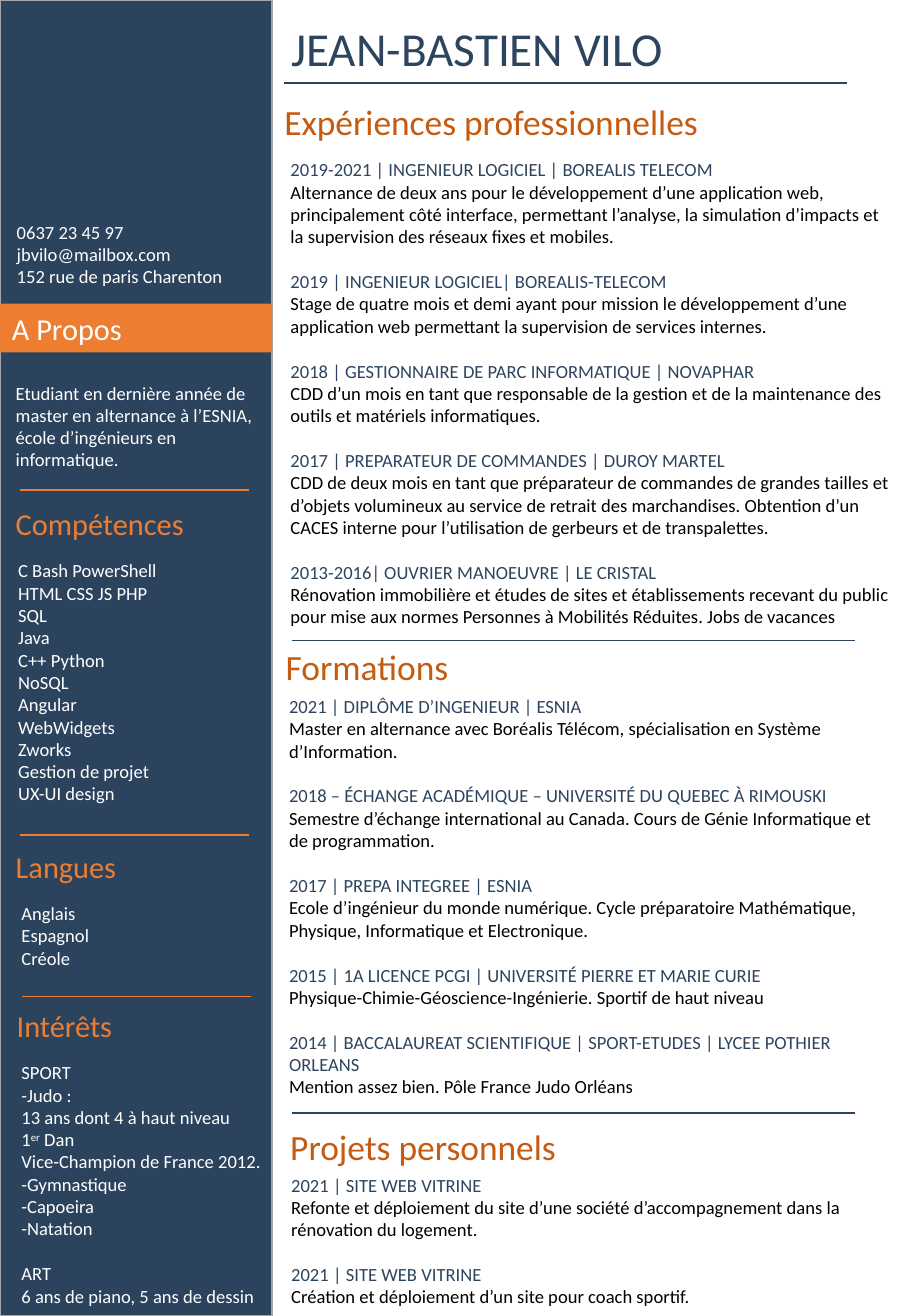
from dataclasses import dataclass

from lxml.etree import SubElement
from pptx import Presentation
from pptx.dml.color import RGBColor
from pptx.enum.shapes import MSO_CONNECTOR, MSO_SHAPE
from pptx.enum.text import MSO_ANCHOR, MSO_AUTO_SIZE, PP_ALIGN
from pptx.oxml.ns import qn
from pptx.util import Cm, Pt


@dataclass(frozen=True)
class Theme:
    font: str = "Calibri"
    navy: str = "2D445E"
    panel: str = "2C435D"
    orange: str = "ED7D31"
    rust: str = "C55A11"
    grey: str = "A6A6A6"
    white: str = "FFFFFF"
    black: str = "000000"
    name_size: float = 28
    section_size: float = 21
    label_size: float = 18
    text_size: float = 11
    entry_gap: float = 13.4


T = Theme()

EXPERIENCES = [
    ("2019-2021 | INGENIEUR LOGICIEL | BOREALIS TELECOM",
     "Alternance de deux ans pour le développement d’une application web, principalement côté "
     "interface, permettant l’analyse, la simulation d’impacts et la supervision des réseaux "
     "fixes et mobiles."),
    ("2019 | INGENIEUR LOGICIEL| BOREALIS-TELECOM",
     "Stage de quatre mois et demi ayant pour mission le développement d’une application web "
     "permettant la supervision de services internes."),
    ("2018 | GESTIONNAIRE DE PARC INFORMATIQUE | NOVAPHAR",
     "CDD d’un mois en tant que responsable de la gestion et de la maintenance des outils et "
     "matériels informatiques."),
    ("2017 | PREPARATEUR DE COMMANDES | DUROY MARTEL",
     "CDD de deux mois en tant que préparateur de commandes de grandes tailles et d’objets "
     "volumineux au service de retrait des marchandises. Obtention d’un CACES interne pour "
     "l’utilisation de gerbeurs et de transpalettes."),
    ("2013-2016| OUVRIER MANOEUVRE | LE CRISTAL",
     "Rénovation immobilière et études de sites et établissements recevant du public pour mise "
     "aux normes Personnes à Mobilités Réduites. Jobs de vacances"),
]
FORMATIONS = [
    ("2021 | DIPLÔME D’INGENIEUR | ESNIA",
     "Master en alternance avec Boréalis Télécom, spécialisation en Système d’Information."),
    ("2018 – ÉCHANGE ACADÉMIQUE – UNIVERSITÉ DU QUEBEC À RIMOUSKI",
     "Semestre d’échange international au Canada. Cours de Génie Informatique et de "
     "programmation."),
    ("2017 | PREPA INTEGREE | ESNIA",
     "Ecole d’ingénieur du monde numérique. Cycle préparatoire Mathématique,",
     "Physique, Informatique et Electronique."),
    ("2015 | 1A LICENCE PCGI | UNIVERSITÉ PIERRE ET MARIE CURIE",
     "Physique-Chimie-Géoscience-Ingénierie. Sportif de haut niveau"),
    ("2014 | BACCALAUREAT SCIENTIFIQUE | SPORT-ETUDES | LYCEE POTHIER ORLEANS",
     "Mention assez bien. Pôle France Judo Orléans"),
]
PROJETS = [
    ("2021 | SITE WEB VITRINE",
     "Refonte et déploiement du site d’une société d’accompagnement dans la rénovation du "
     "logement."),
    ("2021 | SITE WEB VITRINE",
     "Création et déploiement d’un site pour coach sportif."),
]
CONTACT = ["0637 23 45 97", "jbvilo@mailbox.com", "152 rue de paris Charenton"]
A_PROPOS = ["Etudiant en dernière année de master en alternance à l’ESNIA, école d’ingénieurs "
            "en informatique."]
COMPETENCES = ["C Bash PowerShell", "HTML CSS JS PHP", "SQL", "Java", "C++ Python", "NoSQL",
               "Angular", "WebWidgets", "Zworks", "Gestion de projet", "UX-UI design"]
LANGUES = ["Anglais", "Espagnol", "Créole"]
# Text between carets is set as superscript
INTERETS = ["SPORT", "-Judo :", "13 ans dont 4 à haut niveau", "1^er^ Dan",
            "Vice-Champion de France 2012.", "-Gymnastique", "-Capoeira", "-Natation",
            "ART", "6 ans de piano, 5 ans de dessin"]


def rgb(color):
    return RGBColor.from_string(color)


def write(sp, lines, size, color):
    """Fill a shape with plain left-aligned paragraphs."""
    tf = sp.text_frame
    tf.word_wrap = True
    tf.auto_size = MSO_AUTO_SIZE.NONE
    tf.vertical_anchor = MSO_ANCHOR.TOP
    for i, line in enumerate(lines):
        p = tf.add_paragraph() if i else tf.paragraphs[0]
        p.alignment = PP_ALIGN.LEFT
        p.space_before = Pt(0)
        pPr = p._p.get_or_add_pPr()
        pPr.set("marL", "0")
        pPr.set("indent", "0")
        SubElement(pPr, qn("a:buNone"))
        for k, part in enumerate(line.split("^")):
            r = p.add_run()
            r.text = part
            r.font.name, r.font.size, r.font.bold = T.font, Pt(size), False
            r.font.color.rgb = rgb(color)
            if k % 2:
                r._r.get_or_add_rPr().set("baseline", "30000")
    return tf


def text(s, box, lines, size, color, sp=None):
    """Place text in a given placeholder, or in a new text box."""
    box = [Cm(v) for v in box]
    if sp is None:
        sp = s.shapes.add_textbox(*box)
    else:
        sp.left, sp.top, sp.width, sp.height = box
    return write(sp, lines, size, color)


def panel(s, box, fill, line=None):
    sp = s.shapes.add_shape(MSO_SHAPE.RECTANGLE, *[Cm(v) for v in box])
    sp.shadow.inherit = False
    sp.fill.solid()
    sp.fill.fore_color.rgb = rgb(fill)
    if line:
        sp.line.color.rgb = rgb(line)
        sp.line.width = Pt(1)
    else:
        sp.line.fill.background()
    return sp


def rule(s, x, y, width, color):
    cn = s.shapes.add_connector(MSO_CONNECTOR.STRAIGHT, Cm(x), Cm(y), Cm(x + width), Cm(y))
    cn.line.color.rgb = rgb(color)
    cn.line.width = Pt(1)
    SubElement(cn._element.spPr, qn("a:effectLst"))


def sidebar_section(s, box, label, lines, indent):
    x, y, w, h = box
    text(s, (x, y, w, 1.02), [label], T.label_size, T.orange)
    return text(s, (x + indent, y + 1.13, w + 0.5, h - 1.13), lines, T.text_size, T.white)


def sidebar(s, box):
    x, y, w, h = box
    panel(s, box, T.panel, T.grey)
    # Contact and profile
    text(s, (x + 0.1, y + 4.49, w - 0.1, 1.66), CONTACT, T.text_size, T.white)
    write(panel(s, (x, y + 6.35, w, 1.02), T.orange), ["A Propos"], T.label_size, T.white)
    text(s, (x + 0.08, y + 7.85, w - 0.1, 2.13), A_PROPOS, T.text_size, T.white)
    # Skills, languages and interests
    sidebar_section(s, (x + 0.08, y + 10.44, 5.49, 6.58), "Compétences", COMPETENCES, 0.05)
    sidebar_section(s, (x + 0.08, y + 17.6, 5.49, 2.8), "Langues", LANGUES, 0.12)
    tf = sidebar_section(s, (x + 0.1, y + 20.93, 5.49, 6.58), "Intérêts", INTERETS, 0.1)
    tf.paragraphs[INTERETS.index("ART")].space_before = Pt(T.entry_gap)
    # Separators
    for dx, dy in ((0.41, 10.24), (0.41, 17.45), (0.46, 20.83)):
        rule(s, x + dx, y + dy, 4.79, T.orange)


def resume_section(s, box, heading, entries, indent, drop, slots=(None, None)):
    """Heading, then dated entries starting `drop` below the top of the box."""
    x, y, w, h = box
    text(s, (x, y, 11.53, 1.19), [heading], T.section_size, T.rust, slots[0])
    lines = [line for entry in entries for line in entry]
    tf = text(s, (x + indent, y + drop, w - indent, h - drop), lines, T.text_size, T.black,
              slots[1])
    row = 0
    for entry in entries:
        p = tf.paragraphs[row]
        p.space_before = Pt(T.entry_gap if row else 0)
        p.runs[0].font.color.rgb = rgb(T.navy)
        row += len(entry)


def main_column(s, box):
    x, y, w, h = box
    ph = s.placeholders
    # Name
    text(s, (x + 0.15, y + 0.28, 11, 1.45), ["JEAN-BASTIEN VILO"], T.name_size, T.navy, ph[0])
    # Career, education and projects
    resume_section(s, (x, y + 1.96, w, 11.35), "Expériences professionnelles", EXPERIENCES,
                   0.13, 1.22, (ph[1], ph[2]))
    resume_section(s, (x + 0.03, y + 13.36, w - 0.1, 9.75), "Formations", FORMATIONS,
                   0.07, 1.04, (ph[3], ph[4]))
    resume_section(s, (x + 0.13, y + 23.39, w - 0.2, 4.12), "Projets personnels", PROJETS,
                   0.02, 1.02)
    # Separators
    for dx, dy in ((0.25, 1.73), (0.41, 13.39), (0.41, 23.27)):
        rule(s, x + dx, y + dy, 11.77, T.navy)


def main():
    prs = Presentation()
    prs.slide_width, prs.slide_height = Cm(19.05), Cm(27.51)
    s = prs.slides.add_slide(prs.slide_layouts[4])
    sidebar(s, (0, 0, 5.69, 27.51))
    main_column(s, (5.69, 0, 13.29, 27.51))
    prs.save("out.pptx")


if __name__ == "__main__":
    main()
